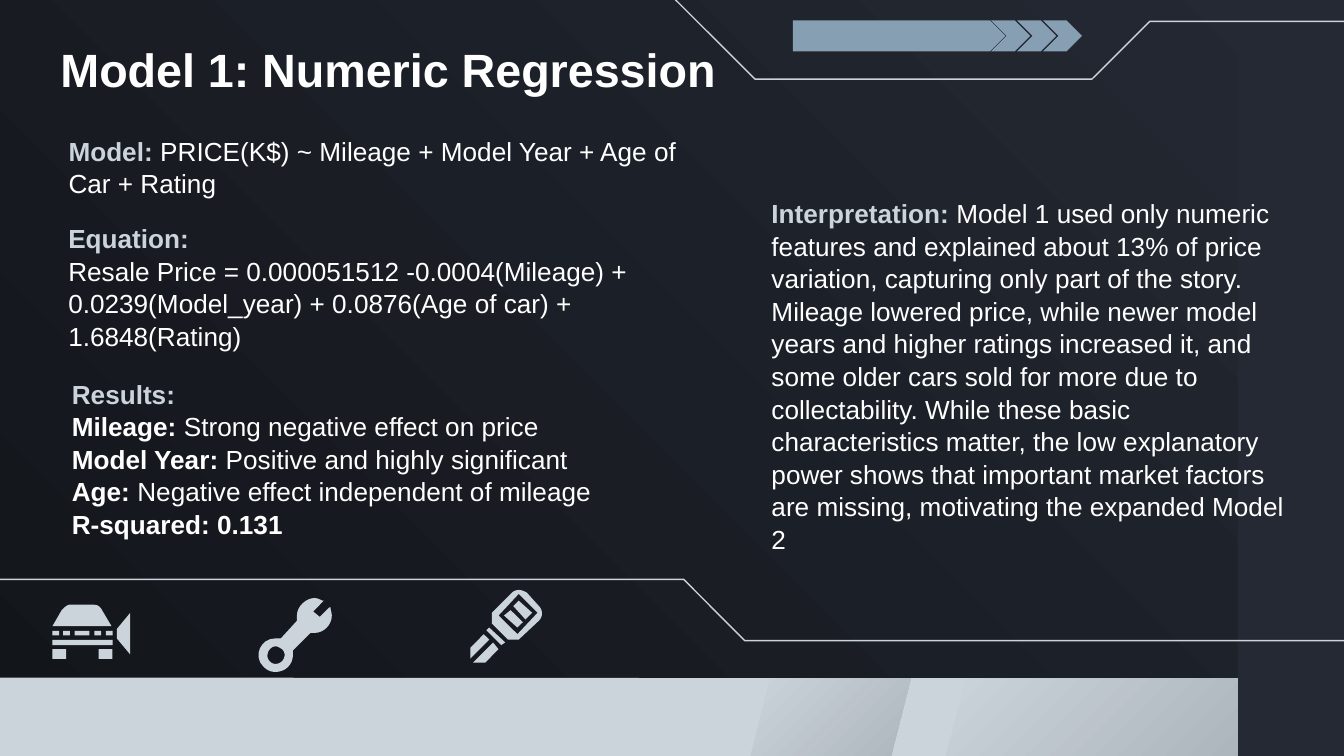
import pptx
import pptx.dml.color
import pptx.enum.shapes
import pptx.enum.text
import pptx.util

Pt = pptx.util.Pt
KIND = pptx.enum.shapes.MSO_SHAPE
ANCHOR = pptx.enum.text.MSO_ANCHOR
FONT = "Arial"
DARK, NIGHT = "242933", "12151A"
PALE, GREY = "CCD4DB", "ABB3BB"
STEEL, WHITE = "869FB2", "FFFFFF"


def rgb(code):
    return pptx.dml.color.RGBColor.from_string(code)


def fade(fill, codes, angle):
    """Fill with a two-stop gradient; the angle runs counter-clockwise."""
    fill.gradient()
    fill.gradient_angle = angle
    for stop, code in zip(fill.gradient_stops, codes):
        stop.color.rgb = rgb(code)


def trace(path, steps=8):
    """Turn a path of points and cubic curves (6 numbers) into points."""
    points = []
    for item in path:
        if len(item) == 2:
            points.append(item)
            continue
        knots = [points[-1], item[:2], item[2:4], item[4:]]
        for step in range(1, steps + 1):
            t = step / steps
            parts = ((1 - t) ** 3, 3 * t * (1 - t) ** 2, 3 * t * t * (1 - t), t ** 3)
            points.append(tuple(sum(p * k[axis] for p, k in zip(parts, knots))
                                for axis in (0, 1)))
    return [(Pt(x), Pt(y)) for x, y in points]


class Deck:
    """Holds the text style and the current slide."""
    size = 14
    inset = 7.2
    lead = 1.04

    def __init__(self):
        self.file = pptx.Presentation()
        self.file.slide_width, self.file.slide_height = Pt(720), Pt(405)
        self.slide = self.file.slides.add_slide(self.file.slide_layouts[3])
        self.shapes = self.slide.shapes
        fade(self.slide.background.fill, (NIGHT, DARK), 45)

    def paint(self, shape, color):
        shape.shadow.inherit = False
        shape.line.fill.background()
        if isinstance(color, tuple):
            fade(shape.fill, color, 315)
        else:
            shape.fill.solid()
            shape.fill.fore_color.rgb = rgb(color)

    def block(self, kind, box, color):
        self.paint(self.shapes.add_shape(kind, *map(Pt, box)), color)

    def draw(self, paths, close):
        pen = None
        for path in paths:
            first, *rest = trace(path)
            if pen is None:
                pen = self.shapes.build_freeform(*first, scale=1.0)
            else:
                pen.move_to(*first)
            pen.add_line_segments(rest, close=close)
        return pen.convert_to_shape()

    def solid(self, color, *paths):
        self.paint(self.draw(paths, True), color)

    def line(self, *points):
        shape = self.draw([points], False)
        shape.shadow.inherit = False
        shape.fill.background()
        shape.line.color.rgb = rgb(PALE)
        shape.line.width = Pt(0.75)

    def text(self, box, paras, anchor, size=None, base=None):
        """Write paragraphs of (text, color, bold) runs in a new text box."""
        self.fill(self.shapes.add_textbox(*map(Pt, box)), box, paras, anchor, size, base)

    def holder(self, index, box, paras, anchor, size=None):
        """Use a template placeholder, brought in front of what is drawn."""
        shape = self.slide.placeholders[index]
        shape.element.getparent().append(shape.element)
        self.fill(shape, box, paras, anchor, size)

    def fill(self, shape, box, paras, anchor, size=None, base=None):
        shape.left, shape.top, shape.width, shape.height = map(Pt, box)
        frame = shape.text_frame
        frame.word_wrap = True
        frame.auto_size = pptx.enum.text.MSO_AUTO_SIZE.NONE
        frame.vertical_anchor = anchor
        frame.margin_left = frame.margin_right = frame.margin_top = Pt(self.inset)
        frame.margin_bottom = Pt(base or self.inset)
        for index, runs in enumerate(paras):
            para = frame.add_paragraph() if index else frame.paragraphs[0]
            para.alignment = pptx.enum.text.PP_ALIGN.LEFT
            para.space_before = Pt(0)
            para.line_spacing = self.lead
            props = para._p.get_or_add_pPr()
            props.set("marL", "0")
            props.set("indent", "0")
            props.append(pptx.oxml.parse_xml(
                '<a:buNone xmlns:a="http://schemas.openxmlformats.org/drawingml/2006/main"/>'))
            for words, color, bold in runs:
                run = para.add_run()
                run.text = words
                run.font.name, run.font.bold = FONT, bold
                run.font.size = Pt(size or self.size)
                run.font.color.rgb = rgb(color)


def frame(deck):
    deck.block(KIND.RECTANGLE, (663, 0, 57, 405), DARK)
    deck.solid(PALE, [(-4.5, 363), (-5, 416), (662, 415), (662, 363.5)])
    deck.solid((PALE, GREY), [(412.5, 363.5), (399.5, 416), (474.5, 416.5), (488, 363.5)])
    deck.solid((PALE, GREY), [(517.5, 363.5), (504, 416), (663, 416), (663, 363.5)])
    deck.line((789, 11.5), (616, 11.5), (585, 42.4), (404.5, 42.4), (357, -5))
    deck.line((0, 310.4), (366.3, 310.4), (399, 343.2), (720, 343.2))


def arrow(deck):
    deck.block(KIND.PENTAGON, (424.8, 11, 113.8, 16.5), STEEL)
    for step in range(3):
        deck.block(KIND.CHEVRON, (531 + 13.9 * step, 11, 20.9, 16.5), STEEL)


def car(deck):
    for x, width in ((28, 3.7), (33.8, 3.7), (40, 8), (50.5, 3.7), (56.7, 3.7)):
        deck.block(KIND.RECTANGLE, (x, 338, width, 2.4), PALE)
    deck.block(KIND.RECTANGLE, (28, 342.8, 32.4, 2.8), PALE)
    for x in (28, 52.8):
        deck.block(KIND.RECTANGLE, (x, 347.8, 7.4, 5.2), PALE)
    deck.solid(PALE, [(37.4, 324), (36, 324, 34.6, 325.4, 33.1, 326.9), (28.1, 335.5),
                      (59.8, 335.5), (54.7, 326.9), (54, 325.4, 52.6, 324, 50.4, 324)])
    deck.solid(PALE, [(69.8, 328.3), (62.6, 337), (62.6, 342), (69.8, 350.6)])


def wrench(deck):
    hole = [(147.6, 346.3), (149, 346.3, 149.8, 347, 151.2, 347.8),
            (154.1, 350.6, 151.9, 355.7, 147.6, 355.7),
            (145.4, 355.7, 143.3, 353.5, 143.3, 351.4),
            (143.3, 348.5, 145.4, 346.3, 147.6, 346.3)]
    body = [(168.5, 320.4), (164.2, 320.4, 159.1, 324.7, 159.1, 329.8), (159.1, 332.6),
            (150.5, 342), (147.6, 342), (139.7, 342, 135.4, 351.4, 141.1, 357.1),
            (143.3, 359.3, 145.4, 360, 147.6, 360), (152.6, 360, 157, 356.4, 157, 350.6),
            (157, 348.5), (166.3, 339.1), (168.5, 339.1),
            (173.5, 339.1, 177.8, 334.8, 177.8, 329.8),
            (177.8, 328.3, 177.1, 326.9, 177.1, 325.4), (176.4, 325.4), (171.4, 330.5),
            (167.8, 327.6), (173.5, 321.8), (172.8, 321.8),
            (171.4, 321.1, 169.9, 320.4, 168.5, 320.4)]
    deck.solid(PALE, hole, body)


def key(deck):
    hole = [(277.9, 318.2), (288, 328.3), (277.2, 339.8), (267.1, 329.8)]
    head = [(277.9, 316.1), (276.5, 316.1, 275, 316.8, 274.3, 317.5), (263.5, 328.3),
            (263.5, 334.1), (272.2, 342.7), (277.9, 342.7), (288.7, 332.6),
            (290.9, 330.5, 290.9, 326.9, 288.7, 324.7), (282.2, 317.5),
            (280.8, 316.8, 279.4, 316.1, 277.9, 316.1)]
    deck.solid(PALE, hole, head)
    for part in ([(273.6, 326.9), (270, 329.8), (277.2, 336.2), (280.1, 333.4)],
                 [(277.9, 321.8), (275, 324.7), (281.5, 331.9), (285.1, 328.3)],
                 [(259.2, 339.8), (252, 347), (252, 352.8), (262.1, 342.7)],
                 [(262.1, 336.2), (260.6, 337.7), (268.6, 345.6), (270.7, 344.2)],
                 [(264.2, 344.2), (253.4, 355), (259.9, 355), (267.1, 347.8)]):
        deck.solid(PALE, part)


def words(deck):
    deck.holder(0, (25.2, 13.7, 386, 45.4),
                [[("Model 1: Numeric Regression", WHITE, True)]], ANCHOR.TOP, 25)
    deck.holder(1, (29.5, 81.4, 343.5, 32.4), [[
        ("Model: ", PALE, True),
        ("PRICE(K$) ~ Mileage + Model Year + Age of Car + Rating", WHITE, False)]],
        ANCHOR.BOTTOM)
    deck.holder(2, (406.1, 97.9, 290.9, 191.5), [[
        ("Interpretation: ", PALE, True),
        ("Model 1 used only numeric features and explained about 13% of price variation, "
         "capturing only part of the story. Mileage lowered price, while newer model years "
         "and higher ratings increased it, and some older cars sold for more due to "
         "collectability. While these basic characteristics matter, the low explanatory "
         "power shows that important market factors are missing, motivating the expanded "
         "Model 2", WHITE, False)]], ANCHOR.TOP)
    facts = (("Mileage:", " Strong negative effect on price"),
             ("Model Year:", " Positive and highly significant"),
             ("Age:", " Negative effect independent of mileage"))
    deck.text((31.4, 280.8, 343.5, 32.4),
              [[("Results:", PALE, True)]]
              + [[(name, WHITE, True), (note, WHITE, False)] for name, note in facts]
              + [[("R-squared: 0.131", WHITE, True)]], ANCHOR.BOTTOM, base=24)
    deck.text((29.5, 167, 365, 45.4), [
        [("Equation:", PALE, True)],
        [("Resale Price = 0.000051512 -0.0004(Mileage) + 0.0239(Model_year) + "
          "0.0876(Age of car) + 1.6848(Rating)", WHITE, False)]], ANCHOR.BOTTOM, base=24)


def main():
    deck = Deck()
    for part in (frame, car, key, wrench, arrow, words):
        part(deck)
    deck.file.save("out.pptx")


if __name__ == "__main__":
    main()
